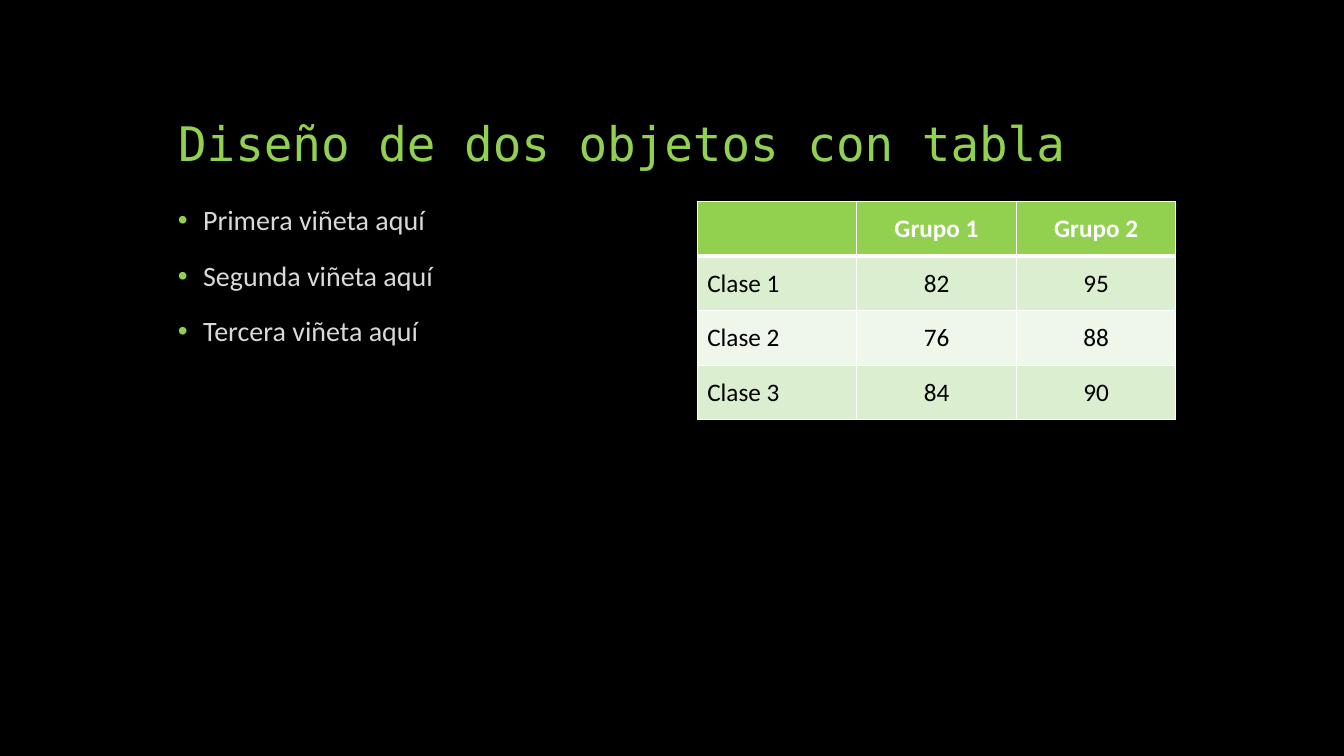
"""Build a slide with a bulleted list beside a table of class results."""
from dataclasses import dataclass

from lxml import etree
from pptx import Presentation
from pptx.dml.color import RGBColor
from pptx.enum import text as t
from pptx.oxml import ns
from pptx.util import Pt


@dataclass(frozen=True)
class Theme:
    background: str = "000000"
    accent: str = "92D050"
    body: str = "D9D9D9"
    white: str = "FFFFFF"
    cell_text: str = "000000"
    bands: tuple = ("DCEED0", "EEF7E9")
    title_font: str = "DejaVu Sans Mono"
    body_font: str = "Calibri"
    title_size: int = 34
    body_size: int = 20
    table_size: int = 18


THEME = Theme()
LEFT, TOP = 120, 144
COLUMN_WIDTH = 342
TABLE_LEFT = 498
TABLE_COLUMN, TABLE_ROW = 114, 39

BULLETS = ["Primera viñeta aquí", "Segunda viñeta aquí", "Tercera viñeta aquí"]
RESULTS = [
    ["", "Grupo 1", "Grupo 2"],
    ["Clase 1", "82", "95"],
    ["Clase 2", "76", "88"],
    ["Clase 3", "84", "90"],
]


def write(paragraph, content, *, size, color, font=THEME.body_font, bold=False,
          align=t.PP_ALIGN.LEFT, line_spacing=None, space_before=0):
    paragraph.alignment = align
    paragraph.space_before = Pt(space_before)
    if line_spacing:
        paragraph.line_spacing = line_spacing
    run = paragraph.add_run()
    run.text = content
    run.font.name = font
    run.font.size = Pt(size)
    run.font.bold = bold
    run.font.color.rgb = RGBColor.from_string(color)


def add_child(parent, tag, **attributes):
    return etree.SubElement(parent, ns.qn(tag), **attributes)


def add_bullet(paragraph, color, indent):
    properties = paragraph._p.get_or_add_pPr()
    properties.set("marL", str(Pt(indent)))
    properties.set("indent", str(-Pt(indent)))
    add_child(add_child(properties, "a:buClr"), "a:srgbClr", val=color)
    add_child(properties, "a:buFont", typeface="Arial")
    add_child(properties, "a:buChar", char="•")


def add_title(slide, content):
    title = slide.shapes.title
    title.left, title.top, title.width, title.height = Pt(LEFT), Pt(36), Pt(720), Pt(90)
    frame = title.text_frame
    frame.word_wrap = True
    frame.auto_size = t.MSO_AUTO_SIZE.NONE
    frame.vertical_anchor = t.MSO_ANCHOR.BOTTOM
    write(frame.paragraphs[0], content, size=THEME.title_size, color=THEME.accent,
          font=THEME.title_font, line_spacing=0.9)


def add_bullet_list(slide, items):
    box = slide.shapes.add_textbox(Pt(LEFT), Pt(TOP), Pt(COLUMN_WIDTH), Pt(336))
    frame = box.text_frame
    frame.word_wrap = True
    for index, item in enumerate(items):
        paragraph = frame.add_paragraph() if index else frame.paragraphs[0]
        write(paragraph, item, size=THEME.body_size, color=THEME.body,
              line_spacing=0.9, space_before=18)
        add_bullet(paragraph, THEME.accent, 18)


def set_borders(cell, color, **widths):
    properties = cell._tc.get_or_add_tcPr()
    for side in "LRTB":
        line = add_child(properties, f"a:ln{side}", w=str(Pt(widths.get(side, 1))))
        add_child(add_child(line, "a:solidFill"), "a:srgbClr", val=color)


def format_cell(cell, content, row, column):
    header = row == 0
    heavy = {0: {"B": 3}, 1: {"T": 3}}.get(row, {})
    set_borders(cell, THEME.white, **heavy)
    cell.fill.solid()
    fill = THEME.accent if header else THEME.bands[(row - 1) % 2]
    cell.fill.fore_color.rgb = RGBColor.from_string(fill)
    cell.vertical_anchor = t.MSO_ANCHOR.MIDDLE
    if content:
        write(cell.text_frame.paragraphs[0], content, size=THEME.table_size,
              color=THEME.white if header else THEME.cell_text, bold=header,
              align=t.PP_ALIGN.CENTER if column else t.PP_ALIGN.LEFT)


def add_results_table(slide, rows):
    row_count, column_count = len(rows), len(rows[0])
    table = slide.shapes.add_table(
        row_count, column_count, Pt(TABLE_LEFT), Pt(TOP),
        Pt(TABLE_COLUMN * column_count), Pt(TABLE_ROW * row_count)).table
    for row, values in enumerate(rows):
        for column, content in enumerate(values):
            format_cell(table.cell(row, column), content, row, column)


def main():
    presentation = Presentation()
    presentation.slide_width, presentation.slide_height = Pt(960), Pt(540)
    slide = presentation.slides.add_slide(presentation.slide_layouts[5])
    slide.background.fill.solid()
    slide.background.fill.fore_color.rgb = RGBColor.from_string(THEME.background)
    add_title(slide, "Diseño de dos objetos con tabla")
    add_bullet_list(slide, BULLETS)
    add_results_table(slide, RESULTS)
    presentation.save("out.pptx")


if __name__ == "__main__":
    main()
